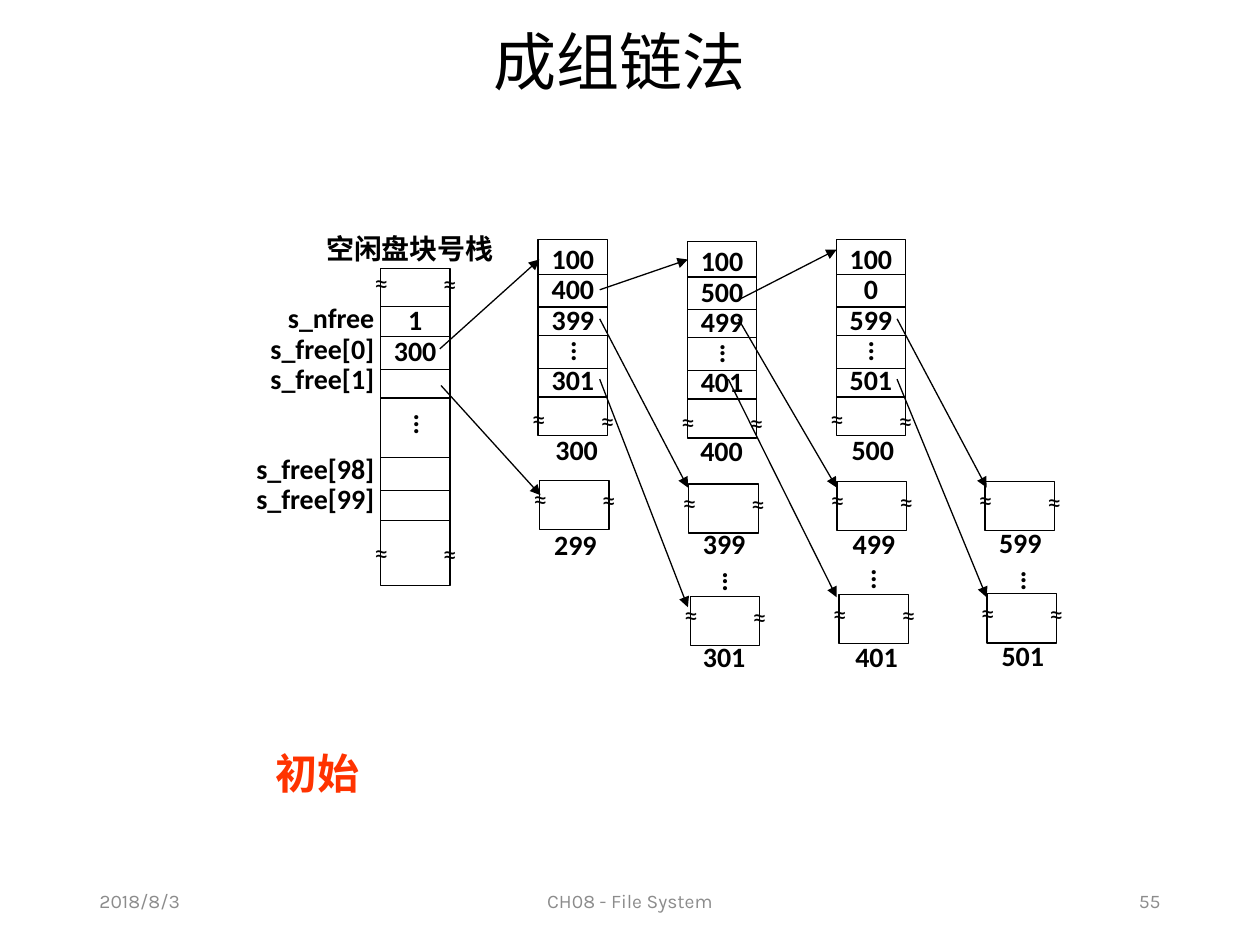
from lxml.etree import SubElement
from pptx import Presentation
from pptx.dml.color import RGBColor
from pptx.enum.shapes import MSO_CONNECTOR, MSO_SHAPE
from pptx.enum.text import MSO_ANCHOR as ANCHOR, PP_ALIGN as ALIGN
from pptx.oxml.ns import qn
from pptx.util import Pt

BLACK, GREY, RED = "000000", "8C8C8C", "FF3300"
CELL_WIDTH = 39.7
BLOCK_HEIGHT = 28.1

deck = Presentation()
deck.slide_width, deck.slide_height = Pt(720), Pt(540)
page = deck.slides.add_slide(deck.slide_layouts[6])


def add_text(text, left, top, width, height, font="Calibri", size=16, color=BLACK,
             bold=True, align=ALIGN.LEFT, anchor=ANCHOR.TOP, spacing=1.0,
             wrap=True, outlined=False, top_inset=3.6, gaps=None):
    """Add text, one paragraph a line; gaps maps a line index to its space before."""
    place = Pt(left), Pt(top), Pt(width), Pt(height)
    if outlined:
        box = page.shapes.add_shape(MSO_SHAPE.RECTANGLE, *place)
        box.shadow.inherit = False
        box.fill.background()
        box.line.color.rgb = RGBColor.from_string(BLACK)
        box.line.width = Pt(0.75)
    else:
        box = page.shapes.add_textbox(*place)
    frame = box.text_frame
    frame.word_wrap = wrap
    frame.vertical_anchor = anchor
    frame.margin_top = Pt(top_inset)
    for index, line in enumerate(text.split("\n") if text else []):
        para = frame.paragraphs[0] if index == 0 else frame.add_paragraph()
        para.alignment = align
        para.line_spacing = spacing
        if gaps and index in gaps:
            para.space_before = Pt(gaps[index])
        span = para.add_run()
        span.text = line
        span.font.size = Pt(size)
        span.font.bold = bold
        span.font.color.rgb = RGBColor.from_string(color)
        span.font.name = font
        east_asian = SubElement(span.font._element, qn("a:ea"))
        east_asian.set("typeface", "Noto Sans CJK SC")


def add_line(x1, y1, x2, y2, arrow=False):
    line = page.shapes.add_connector(MSO_CONNECTOR.STRAIGHT, Pt(x1), Pt(y1), Pt(x2), Pt(y2))
    line.line.color.rgb = RGBColor.from_string(BLACK)
    line.line.width = Pt(0.75)
    if arrow:
        SubElement(line.line._get_or_add_ln(), qn("a:tailEnd")).set("type", "triangle")
    SubElement(line._element.spPr, qn("a:effectLst"))


# Title and footer
add_text("成组链法", 43.9, 10.1, 620.6, 54.7, font="Noto Sans CJK SC", size=36,
         bold=False, align=ALIGN.CENTER, anchor=ANCHOR.MIDDLE, spacing=0.9)
for text, left, width, align in [("2018/8/3", 49.7, 162, ALIGN.LEFT),
                                 ("CH08 - File System", 238.3, 243.4, ALIGN.CENTER),
                                 ("55", 508.3, 162, ALIGN.RIGHT)]:
    add_text(text, left, 500.4, width, 28.8, font="Karla", size=11, color=GREY,
             bold=False, align=align, anchor=ANCHOR.MIDDLE)

# Free block stack
stack_left, stack_top = 217.4, 153.3
add_text("1\n300", stack_left, stack_top, CELL_WIDTH, 181.4, align=ALIGN.CENTER,
         spacing=0.9, outlined=True, top_inset=22)
for y in [175, 192.2, 211, 227.5, 261.4, 280.1, 297.4]:
    add_line(stack_left, y, stack_left + CELL_WIDTH, y)
add_text("s_nfree\ns_free[0]\ns_free[1]\ns_free[98]\ns_free[99]", 133.2, 170.6, 87.8, 128.9,
         align=ALIGN.RIGHT, spacing=0.9, gaps={3: 34.4})
add_text("空闲盘块号栈", 179.3, 128.9, 113, 26.6)

# Group index blocks
columns = [(307.5, 136.8, "100\n400\n399\n301"),
           (392.7, 138.1, "100\n500\n499\n401"),
           (477.8, 136.8, "100\n0\n599\n501")]
for left, top, numbers in columns:
    add_text(numbers, left, top, CELL_WIDTH, 112.3, align=ALIGN.CENTER,
             spacing=0.9, outlined=True, gaps={3: 17.2})
    for drop in [20.2, 38.7, 54.8, 73.8, 90]:
        add_line(left, top + drop, left + CELL_WIDTH, top + drop)

# Free data blocks
blocks = [(308.3, 274.4), (393.6, 276.5), (478.2, 275), (562.8, 275),
          (394.4, 340.7), (479.5, 339.8), (564, 339.3)]
for left, top in blocks:
    add_text("", left, top, CELL_WIDTH, BLOCK_HEIGHT, outlined=True)

# Break marks on both sides of every box
breaks = [(stack_left, stack_top - 5), (stack_left, stack_top + 149.2)]
breaks += [(left, top + 89.3) for left, top, _ in columns]
breaks += [(left, top - 2.6) for left, top in blocks]
for left, top in breaks:
    for shift, drop in [(-10.6, 0), (28.6, 0.7)]:
        add_text("≈", left + shift, top + drop, 22.3, 26.6, bold=False, wrap=False)

# Vertical ellipses
for left, top in [(226.8, 233.3), (316.8, 191.5), (401.8, 193), (486.7, 191.5),
                  (403.2, 323.3), (488.2, 321.8), (573.8, 322.6)]:
    add_text(".\n.\n.", left, top, 22.3, 18.7, align=ALIGN.CENTER, spacing=0.2, wrap=False)

# Block numbers
for number, left, top in [("300", 310.3, 243.4), ("400", 393.1, 244.1), ("500", 479.5, 243.4),
                          ("299", 309.6, 298.1), ("399", 394.6, 297.4), ("499", 480.2, 297.4),
                          ("599", 563.8, 296.6), ("301", 394.6, 362.2), ("401", 481.7, 362.2),
                          ("501", 565.2, 361.4)]:
    add_text(number, left, top, 39.6, 26.6, wrap=False)

# Links between blocks
for ends in [(251.3, 199.4, 308.2, 148.3), (252, 220.3, 308.9, 283),
             (342.7, 165.6, 393.1, 148.3), (342.7, 182.2, 393.1, 278.6),
             (342.7, 216.7, 393.1, 347), (421.9, 171.4, 478.1, 142.6),
             (421.9, 182.2, 478.1, 278.6), (416.2, 216.7, 478.1, 341.3),
             (512.6, 182.2, 563.8, 278.6), (512.6, 216.7, 563.8, 341.3)]:
    add_line(*ends, arrow=True)

add_text("初始", 150.5, 423.4, 130.3, 36, size=24, color=RED)

deck.save("out.pptx")
